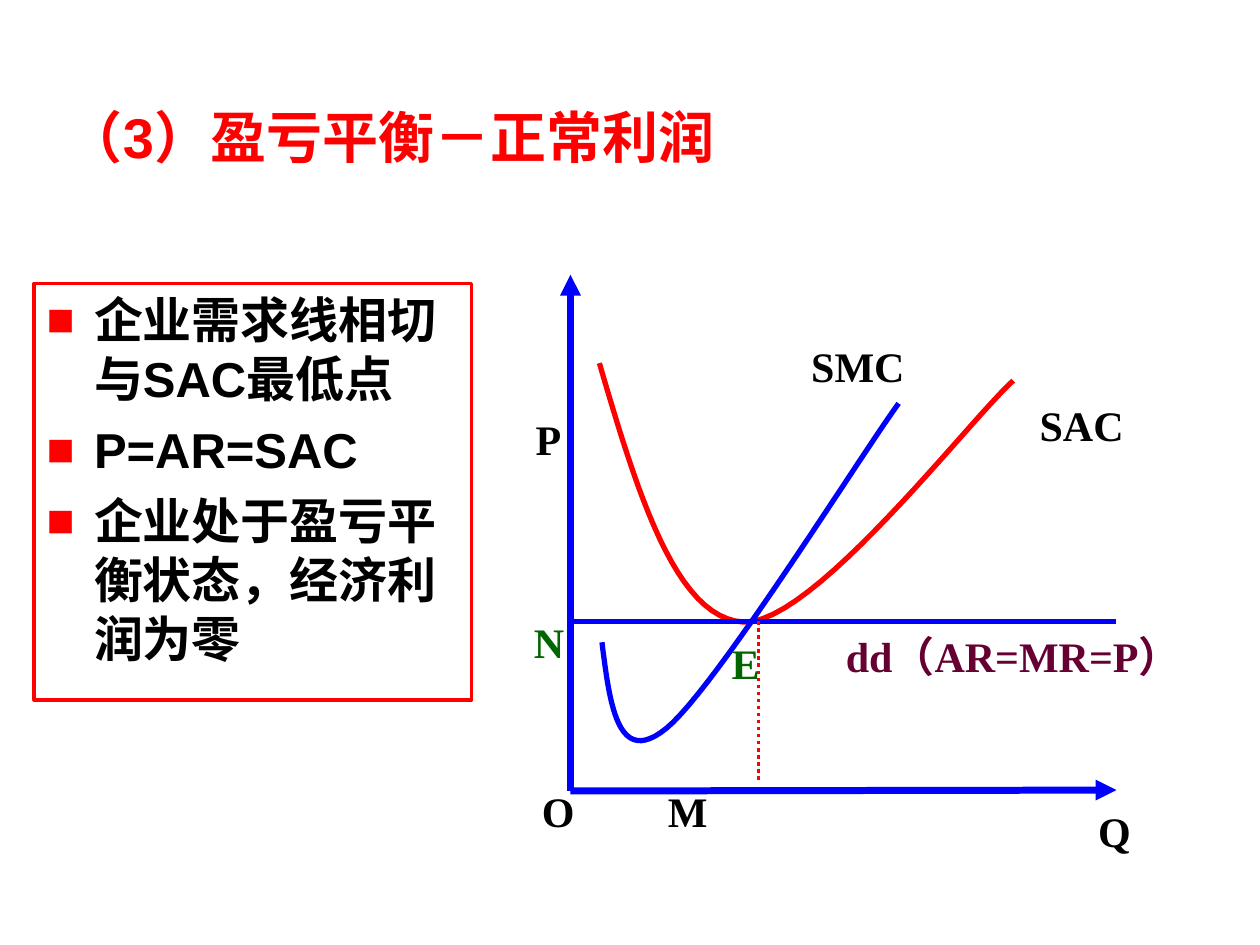
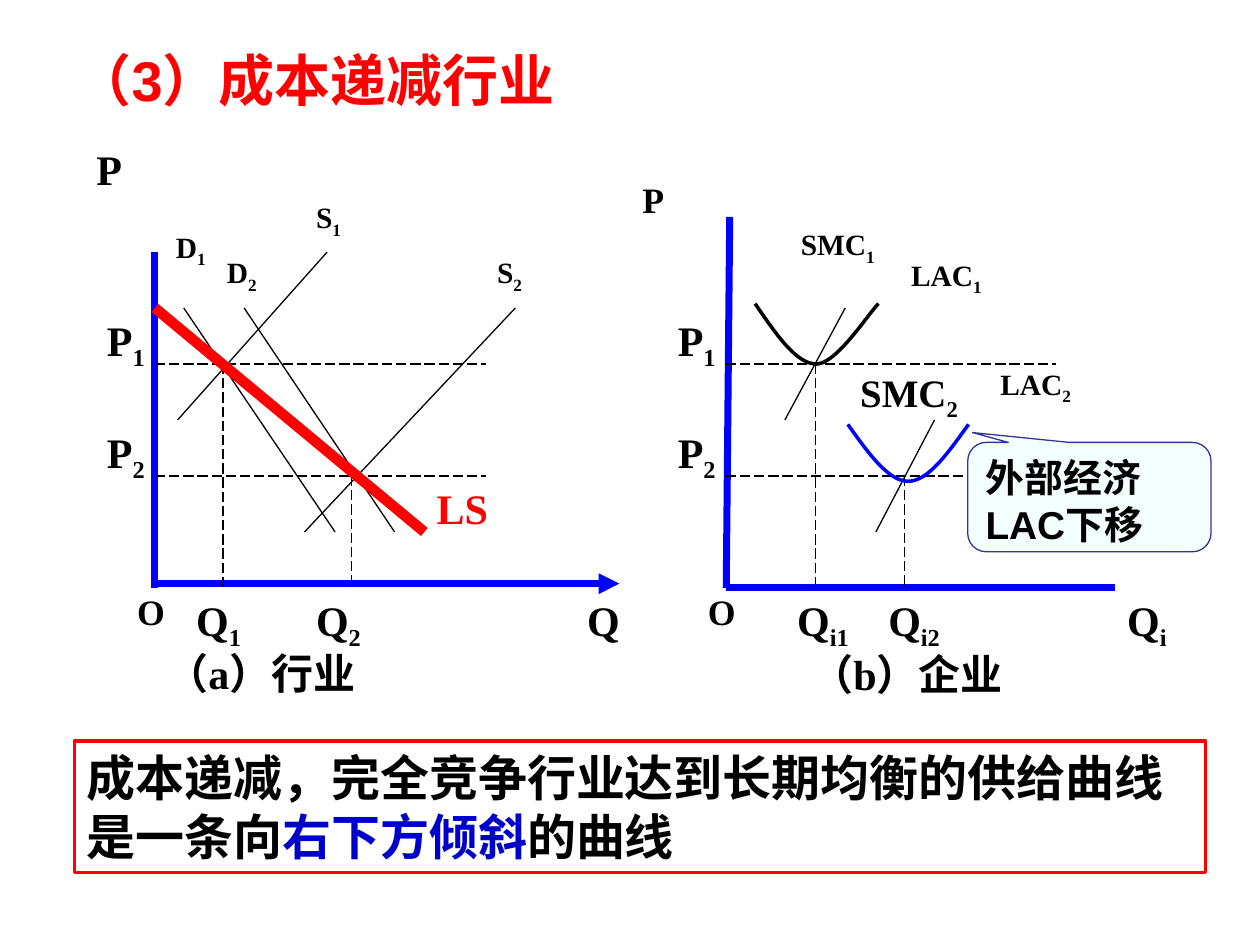
from pptx import Presentation
from pptx.dml.color import RGBColor
from pptx.enum.dml import MSO_LINE
from pptx.enum.shapes import MSO_CONNECTOR, MSO_SHAPE
from pptx.enum.text import MSO_ANCHOR, MSO_AUTO_SIZE, PP_ALIGN
from pptx.oxml.ns import qn
from pptx.oxml.xmlchemy import OxmlElement
from pptx.util import Pt

STRAIGHT = MSO_CONNECTOR.STRAIGHT
LONG_DASH, DOTS = MSO_LINE.LONG_DASH, MSO_LINE.ROUND_DOT
LEFT, CENTER = PP_ALIGN.LEFT, PP_ALIGN.CENTER
TOP, MIDDLE = MSO_ANCHOR.TOP, MSO_ANCHOR.MIDDLE

SANS, SERIF = "Arial", "Times New Roman"
RED, BLUE, BLACK, WHITE = "FF0000", "0000FF", "000000", "FFFFFF"
GREEN, PLUM, NAVY, DEEP_BLUE, PALE = "006600", "660033", "333399", "0000CC", "F3FFFF"
LINE_SPACING = {16.8: 0.8, 20.4: 0.9, 22.2: 0.9}

# Break-even slide: lengths in points
BREAK_EVEN_TITLE = ("（3）盈亏平衡－正常利润", (31, 60.5, 581, 34.5))
BREAK_EVEN_POINTS = [
    "企业需求线相切与SAC最低点",
    "P=AR=SAC",
    "企业处于盈亏平衡状态，经济利润为零",
]
POINTS_BOX = (19.5, 162, 250, 238)
DEMAND_LABEL = ("dd（AR=MR=P）", (445.5, 357, 267, 36))
# start, end, colour, width, dash, arrow
BREAK_EVEN_LINES = [
    ((326, 452), (326, 157), BLUE, 4, None, True),
    ((326, 452), (638, 451.5), BLUE, 4, None, True),
    ((326, 355), (638, 355), BLUE, 3, None, False),
    ((433.5, 355), (433.5, 445.5), RED, 2, DOTS, False),
]
SAC_CURVE = [(342.5, 207.5), (364, 281), (386, 353.5), (425, 355.5),
             (464.5, 357), (553.5, 240.5), (579, 217.5)]
SMC_CURVE = [(344, 367), (348.5, 403), (353, 439), (381, 416),
             (409, 393), (491, 261.5), (513.5, 230.5)]
# text, left, top, width, colour
BREAK_EVEN_LABELS = [
    ("P", 299, 232.5, 29, BLACK),
    ("Q", 620.5, 457, 33.5, BLACK),
    ("SAC", 587, 224.5, 73.5, BLACK),
    ("SMC", 456.5, 191, 69, BLACK),
    ("E", 411, 360.5, 31, GREEN),
    ("M", 374.5, 445.5, 37.5, BLACK),
    ("O", 302.5, 445.5, 33.5, BLACK),
    ("N", 298, 349, 32, GREEN),
]

# Decreasing-cost slide: rows lie on a 32-point grid
INDUSTRY_TITLE = ("（3）成本递减行业", (36, 0, 648, 90))
ROWS = [144 + 32 * step for step in range(7)]
CURVE_TOP, PRICE_1, MID, PRICE_2, CURVE_END, BASE = ROWS[1:]
GUIDE_LENGTH = 189
PANELS = [
    {
        "origin": 414.7,
        "axes": [((417, 124), (415, BASE), False), ((414.7, BASE), (637, BASE), False)],
        "drops": [466, 517],
        "slopes": [((483, CURVE_TOP), (448.5, MID)), ((534, MID), (500.5, CURVE_END))],
        "price": (360, 101, 34.5, 32, 20.4),
        "quantities": [("i1", 448.5, 52), ("i2", 500.5, 68), ("i", 637, 52)],
        "caption": ("（b）企业", 456.5, 367, 142),
    },
    {
        "origin": 88.5,
        "axes": [((88.5, ROWS[0]), (88.5, BASE), False), ((88, 333.5), (354, 333.5), True)],
        "drops": [127.5, 201],
        "slopes": [((105, CURVE_TOP), (191.5, CURVE_END)), ((187, ROWS[0]), (101.5, MID)),
                   ((294.5, CURVE_TOP), (174, CURVE_END)),
                   ((139.5, CURVE_TOP), (225.5, CURVE_END))],
        "price": (48, 78.5, 34.5, 63, 24),
        "quantities": [("1", 105, 52), ("2", 173.5, 68), ("", 328.5, 52)],
        "caption": ("（a）行业", 88, 366.5, 170),
    },
]
LAC_CURVES = [
    ([(431.5, 173.5), (443.5, 191), (455, 208), (466.5, 208),
      (478, 208), (496, 179.5), (502, 173.5)], BLACK),
    ([(484.5, 242.5), (496, 258.5), (507.5, 275), (519, 275),
      (530.5, 275), (542, 258.5), (553.5, 242.5)], BLUE),
]
# text, subscript, left, top, width, height, size
CURVE_LABELS = [
    ("D", "1", 93.5, 129.5, 52, 32, 16.8),
    ("D", "2", 122.5, 144, 68, 32, 16.8),
    ("S", "1", 173.5, 112.5, 51, 32, 16.8),
    ("S", "2", 277, 144, 52, 32, 16.8),
    ("LAC", "1", 513.5, 145.5, 73.5, 32, 16.8),
    ("SMC", "1", 450.5, 128, 107, 32, 16.8),
    ("LAC", "2", 564.5, 207.5, 104, 32, 16.8),
    ("SMC", "2", 484.5, 207.5, 92, 40, 22.2),
]
CALLOUT_LINES = ["外部经济", "LAC下移"]
CALLOUT_BOX, CALLOUT_SHAPE = (553, 252.8, 139, 62.5), (-0.48, -0.59, 0.17)
SUMMARY = [("成本递减，完全竞争行业达到长期均衡的供给曲线是一条向", BLACK),
           ("右下方倾斜", DEEP_BLUE), ("的曲线", BLACK)]
SUMMARY_BOX = (42.5, 423.5, 646.5, 75)


def rgb(color):
    return RGBColor.from_string(color)


def points(values):
    return [Pt(value) for value in values]


def place(shape, box):
    shape.left, shape.top, shape.width, shape.height = points(box)


def add_span(para, text, size, color=BLACK, font=SERIF, subscript=False):
    span = para.add_run()
    span.text = text
    span.font.size = Pt(size)
    span.font.name = font
    span.font.bold = True
    span.font.color.rgb = rgb(color)
    if subscript:
        span.font._element.set("baseline", "-25000")


def set_frame(shape, anchor=TOP):
    frame = shape.text_frame
    frame.word_wrap = True
    frame.auto_size = MSO_AUTO_SIZE.NONE
    frame.vertical_anchor = anchor
    return frame


def write_lines(shape, lines, size, font, align=LEFT):
    """Fill a shape with paragraphs, each a list of (text, colour) spans."""
    frame = set_frame(shape)
    for index, spans in enumerate(lines):
        para = frame.add_paragraph() if index else frame.paragraphs[0]
        para.alignment = align
        for text, color in spans:
            add_span(para, text, size, color, font)


def add_title(page, text, box):
    title = page.shapes.title
    place(title, box)
    para = set_frame(title, MIDDLE).paragraphs[0]
    para.alignment = LEFT
    add_span(para, text, 32, RED, SANS)


def outline(shape, fill, color, width):
    if fill:
        shape.fill.solid()
        shape.fill.fore_color.rgb = rgb(fill)
    else:
        shape.fill.background()
    shape.line.color.rgb = rgb(color)
    shape.line.width = Pt(width)


def add_box(page, kind, box, fill, color, width):
    shape = page.shapes.add_shape(kind, *points(box))
    shape.shadow.inherit = False
    outline(shape, fill, color, width)
    return shape


def add_line(page, start, end, color=BLACK, width=0.75, dash=None, arrow=False):
    line = page.shapes.add_connector(STRAIGHT, *points(start + end))
    line.line.color.rgb = rgb(color)
    line.line.width = Pt(width)
    if dash:
        line.line.dash_style = dash
    properties = line._element.spPr
    if arrow:
        head = OxmlElement("a:tailEnd")
        head.set("type", "triangle")
        properties.find(qn("a:ln")).append(head)
    properties.append(OxmlElement("a:effectLst"))


def bezier(p0, p1, p2, p3, t):
    s = 1 - t
    return [s**3 * a + 3 * s * s * t * b + 3 * s * t * t * c + t**3 * d
            for a, b, c, d in zip(p0, p1, p2, p3)]


def add_curve(page, controls, color, width, steps=24):
    """Draw joined cubic curves; neighbours share an end point."""
    vertices = [points(bezier(*controls[first:first + 4], step / steps))
                for first in range(0, len(controls) - 1, 3)
                for step in range(1, steps + 1)]
    builder = page.shapes.build_freeform(*points(controls[0]))
    builder.add_line_segments(vertices, close=False)
    curve = builder.convert_to_shape()
    curve.shadow.inherit = False
    outline(curve, None, color, width)


def add_label(page, text, subscript, left, top, width, height, size=24, color=BLACK):
    label = page.shapes.add_textbox(*points((left, top, width, height)))
    para = set_frame(label).paragraphs[0]
    if size in LINE_SPACING:
        para.line_spacing = LINE_SPACING[size]
    add_span(para, text, size, color)
    if subscript:
        add_span(para, subscript, size, color, subscript=True)


def add_square_bullet(para):
    settings = para._p.get_or_add_pPr()
    settings.set("marL", str(Pt(27)))
    settings.set("indent", str(-Pt(27)))
    bullet_color = OxmlElement("a:buClr")
    value = OxmlElement("a:srgbClr")
    value.set("val", RED)
    bullet_color.append(value)
    settings.append(bullet_color)
    for tag, name, setting in (("a:buSzPct", "val", "95000"),
                               ("a:buFont", "typeface", SANS),
                               ("a:buChar", "char", "■")):
        element = OxmlElement(tag)
        element.set(name, setting)
        settings.append(element)


def build_break_even(deck):
    page = deck.slides.add_slide(deck.slide_layouts[1])
    add_title(page, *BREAK_EVEN_TITLE)
    body = page.placeholders[1]
    place(body, POINTS_BOX)
    outline(body, WHITE, RED, 2)
    write_lines(body, [[(text, BLACK)] for text in BREAK_EVEN_POINTS], 28, SANS)
    for index, para in enumerate(body.text_frame.paragraphs):
        para.space_before = Pt(7 if index else 0)
        add_square_bullet(para)

    text, box = DEMAND_LABEL
    demand = add_box(page, MSO_SHAPE.RECTANGLE, box, WHITE, WHITE, 0.75)
    write_lines(demand, [[(text, PLUM)]], 24, SERIF, CENTER)
    add_curve(page, SAC_CURVE, RED, 3)
    add_curve(page, SMC_CURVE, BLUE, 3)
    for line in BREAK_EVEN_LINES:
        add_line(page, *line)
    for text, left, top, width, color in BREAK_EVEN_LABELS:
        add_label(page, text, "", left, top, width, 36, color=color)


def add_panel(page, panel):
    origin = panel["origin"]
    for start, end, arrow in panel["axes"]:
        add_line(page, start, end, BLUE, 4, arrow=arrow)
    for number, (price, drop) in enumerate(zip((PRICE_1, PRICE_2), panel["drops"]), 1):
        add_line(page, (origin, price), (origin + GUIDE_LENGTH, price), dash=LONG_DASH)
        add_line(page, (drop, price), (drop, BASE), dash=LONG_DASH)
        add_label(page, "P", str(number), origin - 34.5, price - 32, 51, 64)
    for start, end in panel["slopes"]:
        add_line(page, start, end)
    add_label(page, "P", "", *panel["price"])
    add_label(page, "O", "", origin - 17.3, BASE, 34.5, 32, 20.4)
    for subscript, left, width in panel["quantities"]:
        add_label(page, "Q", subscript, left, BASE, width, 64)
    caption, left, top, width = panel["caption"]
    add_label(page, caption, "", left, top, width, 40)


def build_decreasing_cost(deck):
    page = deck.slides.add_slide(deck.slide_layouts[5])
    add_title(page, *INDUSTRY_TITLE)
    for panel in PANELS:
        add_panel(page, panel)
    for controls, color in LAC_CURVES:
        add_curve(page, controls, color, 2)
    add_line(page, (88.5, CURVE_TOP), (242.5, CURVE_END), RED, 6)
    add_label(page, "LS", "", 242.5, PRICE_2, 52, 64, color=RED)
    for label in CURVE_LABELS:
        add_label(page, *label)

    callout = add_box(page, MSO_SHAPE.ROUNDED_RECTANGULAR_CALLOUT, CALLOUT_BOX,
                      PALE, NAVY, 0.75)
    for index, value in enumerate(CALLOUT_SHAPE):
        callout.adjustments[index] = value
    write_lines(callout, [[(text, BLACK)] for text in CALLOUT_LINES], 22.2, SANS)
    summary = add_box(page, MSO_SHAPE.RECTANGLE, SUMMARY_BOX, None, RED, 2)
    write_lines(summary, [SUMMARY], 28, SANS)


def main():
    deck = Presentation()
    deck.slide_width, deck.slide_height = Pt(720), Pt(540)
    build_break_even(deck)
    build_decreasing_cost(deck)
    deck.save("out.pptx")


if __name__ == "__main__":
    main()
